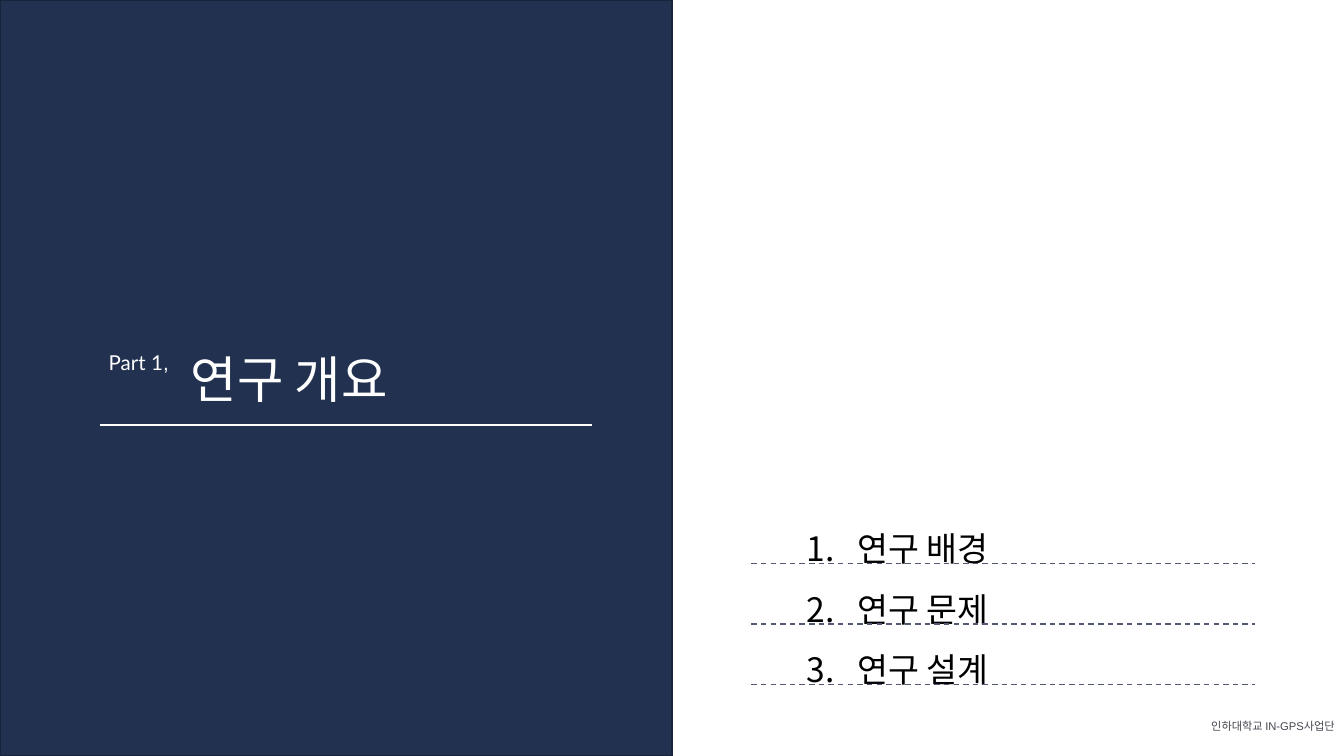
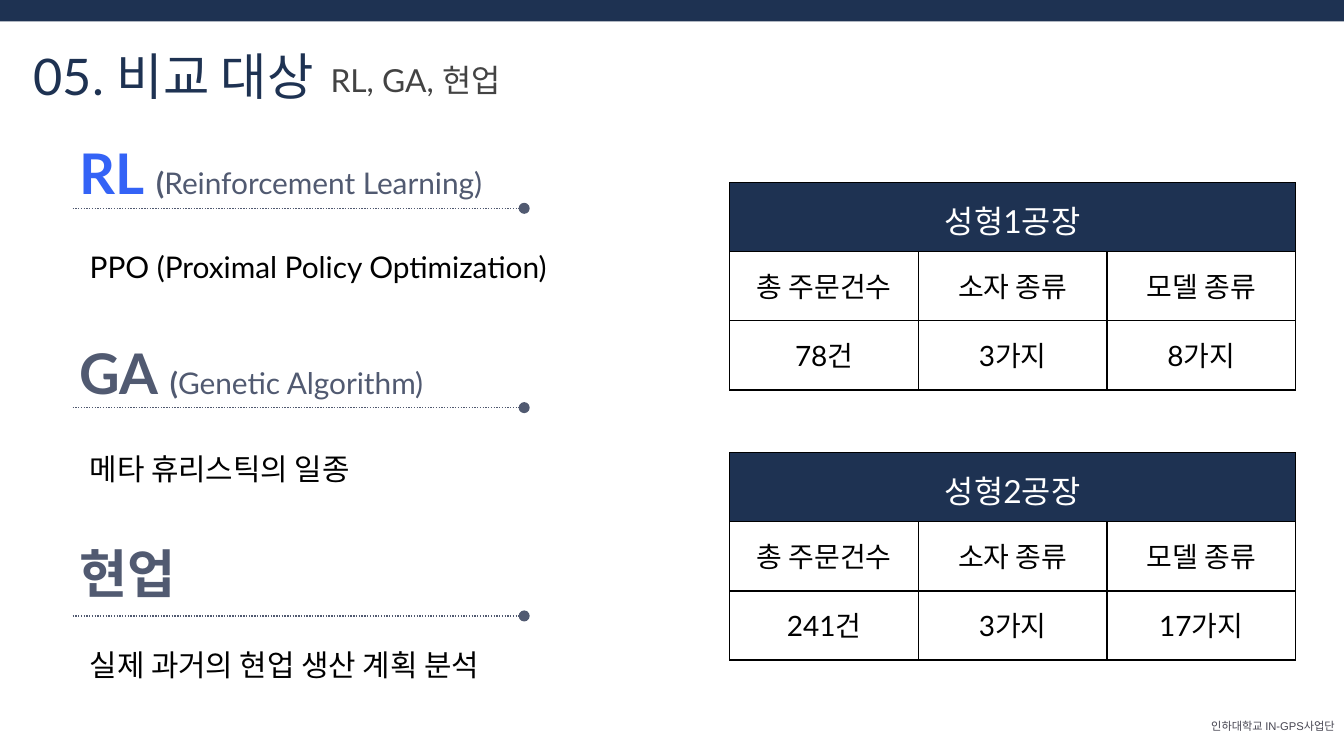
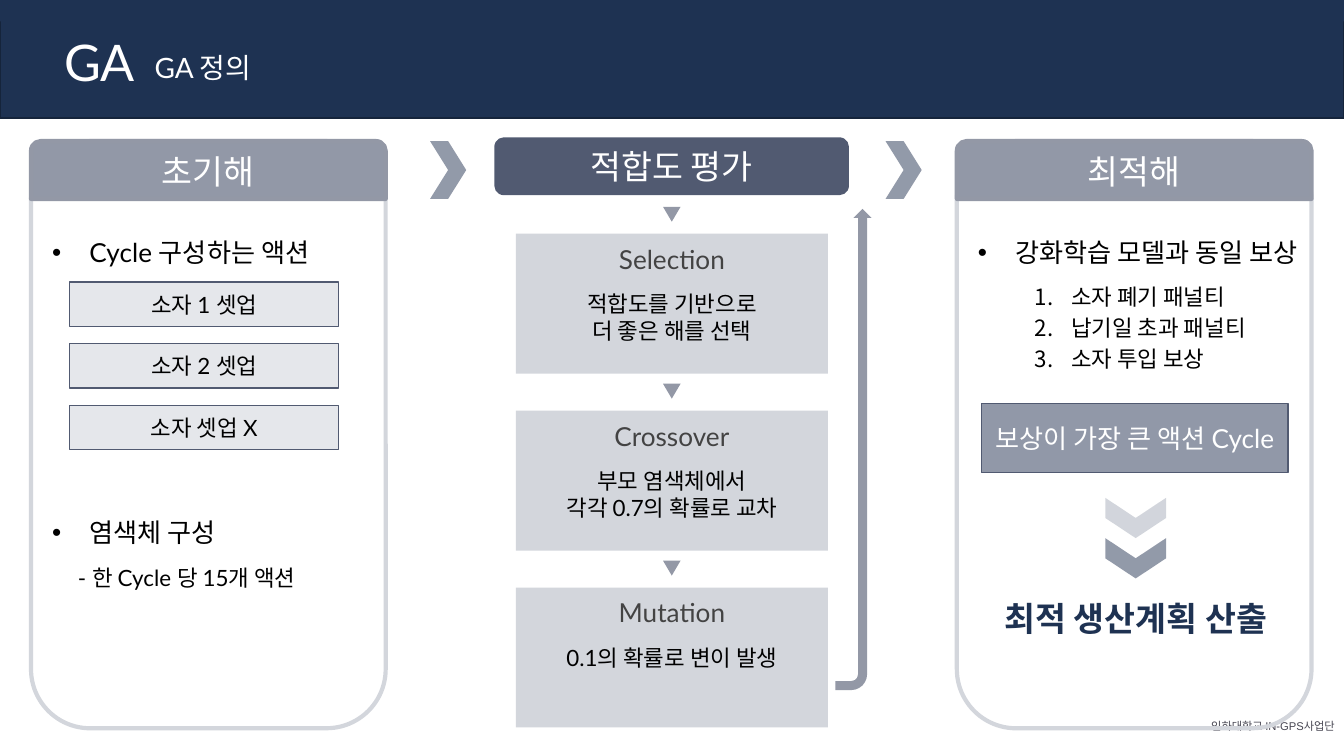
from lxml import etree
from pptx import Presentation
from pptx.dml.color import RGBColor
from pptx.enum.dml import MSO_LINE
from pptx.enum.shapes import MSO_CONNECTOR, MSO_SHAPE
from pptx.enum.text import MSO_ANCHOR, PP_ALIGN
from pptx.oxml.ns import qn
from pptx.util import Pt

LEFT, CENTER, RIGHT = PP_ALIGN.LEFT, PP_ALIGN.CENTER, PP_ALIGN.RIGHT
TOP, MIDDLE = MSO_ANCHOR.TOP, MSO_ANCHOR.MIDDLE
DASH, DOT = MSO_LINE.DASH, MSO_LINE.ROUND_DOT
RECT, ROUND_RECT = MSO_SHAPE.RECTANGLE, MSO_SHAPE.ROUNDED_RECTANGLE
ROUND_TOP, PANEL = MSO_SHAPE.ROUND_2_SAME_RECTANGLE, MSO_SHAPE.FLOWCHART_ALTERNATE_PROCESS
CHEVRON, BENT_ARROW = MSO_SHAPE.CHEVRON, MSO_SHAPE.BENT_ARROW
TRIANGLE = MSO_SHAPE.FLOWCHART_MERGE

COLORS = {
    "white": "FFFFFF", "black": "000000", "navy": "1E3252", "cover": "223150",
    "edge": "15243B", "slate": "515A71", "blue": "3463F6", "text": "434343",
    "footer": "474652", "gray": "9398A6", "tab": "9298A7", "result": "9198A8",
    "light": "D3D6DC", "pale": "E5E7EB",
}
FONT = "Lato"
WIDTH, HEIGHT = 720, 405
NARROW, EVEN, WIDE = (5, 3, 5, 3), (5, 5, 5, 5), (7.2, 7.2, 7.2, 7.2)

# Content
FOOTER = "인하대학교 IN-GPS사업단"
PART_TITLE = "연구 개요"
PART_LABEL = [("Part 1", {}), (",", {"font": "Arial"})]
CHAPTERS = ["연구 배경", "연구 문제", "연구 설계"]

# Heading runs, heading top, rule y, description, description top
METHODS = [
    ([("RL ", {"size": 30, "color": "blue"}), ("(", {}),
      ("Reinforcement Learning)", {"bold": False})],
     67, 111.6, "PPO (Proximal Policy Optimization)", 116.6),
    ([("GA ", {"size": 30}), ("(", {}), ("Genetic Algorithm)", {"bold": False})],
     174.2, 218.4, "메타 휴리스틱의 일종", 224.6),
    ([("현업", {"size": 28})], 283, 330, "실제 과거의 현업 생산 계획 분석", 329.8),
]
ORDER_HEADS = ["총 주문건수", "소자 종류", "모델 종류"]
FACTORIES = [
    ("성형1공장", ["78건", "3가지", "8가지"], 97.9),
    ("성형2공장", ["241건", "3가지", "17가지"], 242.6),
]

STEPS = [
    ("Selection", ["적합도를 기반으로", "더 좋은 해를 선택"]),
    ("Crossover", ["부모 염색체에서", "각각 0.7의 확률로 교차"]),
    ("Mutation", ["0.1의 확률로 변이 발생"]),
]
ACTIONS = ["소자 1 셋업", "소자 2 셋업", "소자 셋업 X"]
REWARDS = ["소자 폐기 패널티", "납기일 초과 패널티", "소자 투입 보상"]


# Helpers
def rgb(name):
    return RGBColor.from_string(COLORS[name])


def set_font(font, size=None, color=None, bold=None, font_name=None):
    if size is not None:
        font.size = Pt(size)
    if color is not None:
        font.color.rgb = rgb(color)
    if bold is not None:
        font.bold = bold
    if font_name is not None:
        font.name = font_name


def set_marker(paragraph, marker, indent):
    """Indent a paragraph; marker is a bullet character, "1." or None."""
    properties = paragraph._p.get_or_add_pPr()
    properties.set("marL", str(Pt(indent[0])))
    properties.set("indent", str(Pt(indent[1])))
    if marker:
        bullet_color = etree.SubElement(properties, qn("a:buClr"))
        etree.SubElement(bullet_color, qn("a:srgbClr"), val=COLORS["black"])
        if marker == "1.":
            etree.SubElement(properties, qn("a:buAutoNum"), type="arabicPeriod")
        else:
            etree.SubElement(properties, qn("a:buFont"), typeface="Arial")
            etree.SubElement(properties, qn("a:buChar"), char=marker)


def write(frame, lines, size, color="black", align=LEFT, bold=False, font=FONT,
          spacing=None, marker=None, indent=None):
    """Each line is a string or a list of (text, differing style) runs."""
    for number, line in enumerate(lines):
        paragraph = frame.add_paragraph() if number else frame.paragraphs[0]
        paragraph.alignment = align
        if spacing:
            paragraph.line_spacing = spacing
        if indent:
            set_marker(paragraph, marker, indent)
        if isinstance(line, str):
            paragraph.add_run().text = line
            set_font(paragraph.font, size, color, bold, font)
            continue
        for text, style in line:
            run = paragraph.add_run()
            run.text = text
            set_font(run.font, style.get("size", size), style.get("color", color),
                     style.get("bold", bold), style.get("font", font))


def set_frame(frame, inset, anchor):
    frame.word_wrap = True
    frame.vertical_anchor = anchor
    (frame.margin_left, frame.margin_top,
     frame.margin_right, frame.margin_bottom) = map(Pt, inset)


def add_text(slide, box, lines, size, color="black", inset=EVEN, **style):
    frame = slide.shapes.add_textbox(*map(Pt, box)).text_frame
    set_frame(frame, inset, TOP)
    write(frame, lines, size, color, **style)


def add_block(slide, kind, box, fill=None, line=None, weight=0.75, adjust=(),
              alpha=None, rotation=0, label=None, size=12, color="white"):
    shape = slide.shapes.add_shape(kind, *map(Pt, box))
    shape.shadow.inherit = False
    shape.rotation = rotation
    for index, value in enumerate(adjust):
        shape.adjustments[index] = value
    if fill:
        shape.fill.solid()
        shape.fill.fore_color.rgb = rgb(fill)
    else:
        shape.fill.background()
    if alpha:
        fill_color = shape._element.spPr.find(qn("a:solidFill"))[0]
        etree.SubElement(fill_color, qn("a:alpha"), val=str(alpha * 1000))
    if line:
        shape.line.color.rgb = rgb(line)
        shape.line.width = Pt(weight)
    else:
        shape.line.fill.background()
    if label:
        set_frame(shape.text_frame, EVEN, MIDDLE)
        write(shape.text_frame, [label], size, color, align=CENTER)
    return shape


def add_rule(slide, left, right, y, color, dash=None, dot_end=False):
    rule = slide.shapes.add_connector(MSO_CONNECTOR.STRAIGHT,
                                      Pt(left), Pt(y), Pt(right), Pt(y))
    rule.line.color.rgb = rgb(color)
    rule.line.width = Pt(0.75)
    if dash:
        rule.line.dash_style = dash
    if dot_end:
        etree.SubElement(rule.line._get_or_add_ln(), qn("a:tailEnd"), type="oval")
    etree.SubElement(rule._element.spPr, qn("a:effectLst"))


def add_slide(presentation):
    slide = presentation.slides.add_slide(presentation.slide_layouts[6])
    add_text(slide, (639.4, 382.3, 80.6, 20), [FOOTER], 6, "footer",
             inset=NARROW, align=RIGHT, font="Arial")
    return slide


def add_top_band(slide):
    add_block(slide, RECT, (0, 0, WIDTH, 11.5), "navy")


def add_title(slide, left, top, text, color):
    add_text(slide, (left, top, 230, 38), [text], 27, color, inset=NARROW)


def add_order_table(slide, top, name, values):
    rows = [[name, "", ""], ORDER_HEADS, values]
    table = slide.shapes.add_table(3, 3, Pt(391), Pt(top), Pt(303), Pt(111)).table
    table.first_row = table.horz_banding = False
    table.cell(0, 0).merge(table.cell(0, 2))
    for row_number, row in enumerate(rows):
        for column_number, text in enumerate(row):
            cell = table.cell(row_number, column_number)
            (cell.margin_left, cell.margin_top,
             cell.margin_right, cell.margin_bottom) = map(Pt, WIDE)
            properties = cell._tc.get_or_add_tcPr()
            for side in ("lnL", "lnR", "lnT", "lnB"):
                border = etree.SubElement(properties, qn("a:" + side), w=str(Pt(0.75)))
                border_fill = etree.SubElement(border, qn("a:solidFill"))
                etree.SubElement(border_fill, qn("a:srgbClr"), val=COLORS["black"])
            if row_number == 0:
                cell.fill.solid()
                cell.fill.fore_color.rgb = rgb("navy")
            else:
                cell.fill.background()
            if text:
                size, color = (15, "black") if row_number else (17, "white")
                write(cell.text_frame, [text], size, color, align=CENTER)


def add_panel(slide, left, heading, point):
    add_block(slide, PANEL, (left, 75.6, 190, 314.6), line="light", weight=2.25)
    add_block(slide, ROUND_TOP, (left, 75.6, 190, 31), "tab", "gray", 2.25,
              adjust=(0.167, 0), label=heading, size=18)
    add_point(slide, left, 121.7, point)


def add_point(slide, left, top, text):
    add_text(slide, (left - 0.7, top, 204, 23), [text], 14,
             marker="•", indent=(27, -20))


# Slides
def build_part(presentation):
    slide = add_slide(presentation)
    add_block(slide, RECT, (0, 0, WIDTH / 2, HEIGHT), "cover", "edge", 1)
    add_title(slide, 97.2, 183.6, PART_TITLE, "white")
    add_text(slide, (53.3, 184.3, 62.6, 19), [PART_LABEL], 11, "white", inset=NARROW)
    add_rule(slide, 53.5, 317.3, 227.6, "white")
    add_text(slide, (416.2, 265, 225.4, 134), CHAPTERS, 18, inset=WIDE,
             spacing=1.5, marker="1.", indent=(36, -27))
    for number in range(len(CHAPTERS)):
        add_rule(slide, 402.5, 672.5, 301.8 + 32.5 * number, "slate", DASH)


def build_comparison(presentation):
    slide = add_slide(presentation)
    add_top_band(slide)
    add_title(slide, 13, 20.9, "05. 비교 대상", "navy")
    add_text(slide, (172.1, 27.4, 224.6, 32), ["RL, GA, 현업"], 17, "text")
    for heading, heading_top, rule_y, description, description_top in METHODS:
        add_text(slide, (35.3, heading_top, 303, 50), [heading], 16, "slate",
                 inset=WIDE, bold=True)
        add_rule(slide, 38.9, 280.8, rule_y, "slate", DOT, dot_end=True)
        add_text(slide, (41, description_top, 270.7, 58), [description], 16,
                 inset=WIDE, spacing=1.5)
    for name, values, top in FACTORIES:
        add_order_table(slide, top, name, values)


def build_algorithm(presentation):
    slide = add_slide(presentation)
    add_block(slide, RECT, (0, 0, WIDTH, 63.5), "navy", "edge", 1)
    add_top_band(slide)
    add_title(slide, 29.5, 13.7, "GA", "white")
    add_text(slide, (77.8, 22, 263.5, 32), ["GA 정의"], 15, "white")

    # Initial solution
    add_panel(slide, 16.6, "초기해", "Cycle 구성하는 액션")
    for number, action in enumerate(ACTIONS):
        add_block(slide, RECT, (37.4, 151.2 + 33 * number, 144, 23.7), "pale", "slate",
                  label=action, color="black")
    add_point(slide, 16.6, 271.8, "염색체 구성")
    add_text(slide, (23.8, 295.2, 177, 93), ["- 한 Cycle 당 15개 액션"], 12,
             spacing=1.15, indent=(13, 0))

    # Fitness evaluation loop
    add_block(slide, ROUND_RECT, (264.8, 73.6, 190, 31), "slate", adjust=(0.167,),
              label="적합도 평가", size=18)
    for number, (name, lines) in enumerate(STEPS):
        top = 125.2 + 94.8 * number
        add_block(slide, TRIANGLE, (355.2, top - 14.4, 9.4, 8), "gray")
        add_block(slide, RECT, (276.4, top, 167.2, 75), "light")
        add_text(slide, (276.4, top, 167.2, 31), [name], 14, "text", align=CENTER)
        add_text(slide, (283, top + 25.5, 154, 38), lines, 12, align=CENTER)
    loop = add_block(slide, BENT_ARROW, (328.4, 231.1, 257.8, 19.4), "gray",
                     adjust=(0.25, 0.25, 0.25, 0.438), rotation=90)
    loop._element.spPr.find(qn("a:xfrm")).set("flipH", "1")
    for left in (230.4, 474.4):
        add_block(slide, CHEVRON, (left, 75.6, 19.4, 31), "cover", alpha=49)

    # Best solution
    add_panel(slide, 512.6, "최적해", "강화학습 모델과 동일 보상")
    add_text(slide, (514.8, 144.7, 164, 60), REWARDS, 12, spacing=1.15,
             marker="1.", indent=(54, -19.5))
    add_block(slide, RECT, (525.8, 216.3, 164.2, 37), "result", "slate",
              label="보상이 가장 큰 액션 Cycle", size=14)
    for top, alpha in ((261.2, 20), (282.8, 49)):
        add_block(slide, CHEVRON, (597.6, top, 21.6, 32.6), "cover", alpha=alpha,
                  rotation=90)
    add_text(slide, (520, 315.4, 177, 32), ["최적 생산계획 산출"], 18, "navy",
             align=CENTER, bold=True)


def main():
    presentation = Presentation()
    presentation.slide_width, presentation.slide_height = Pt(WIDTH), Pt(HEIGHT)
    build_part(presentation)
    build_comparison(presentation)
    build_algorithm(presentation)
    presentation.save("out.pptx")


if __name__ == "__main__":
    main()
